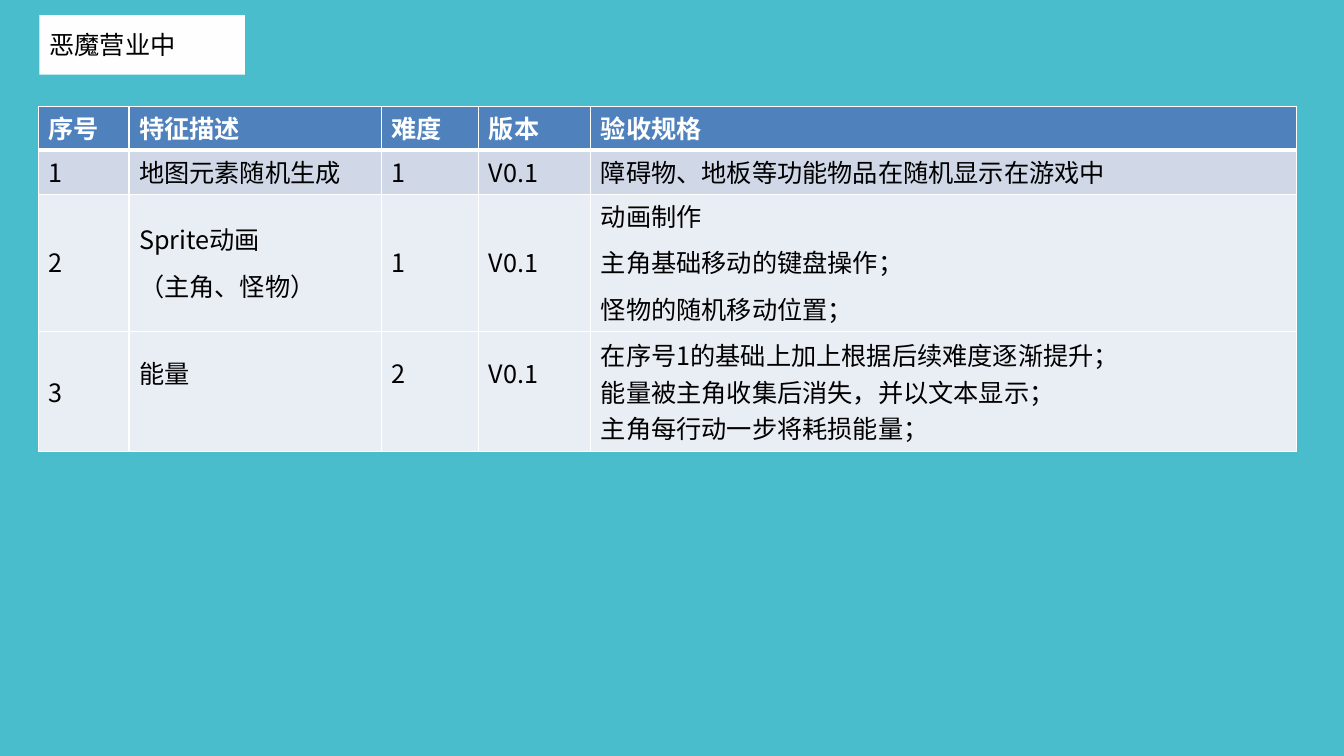
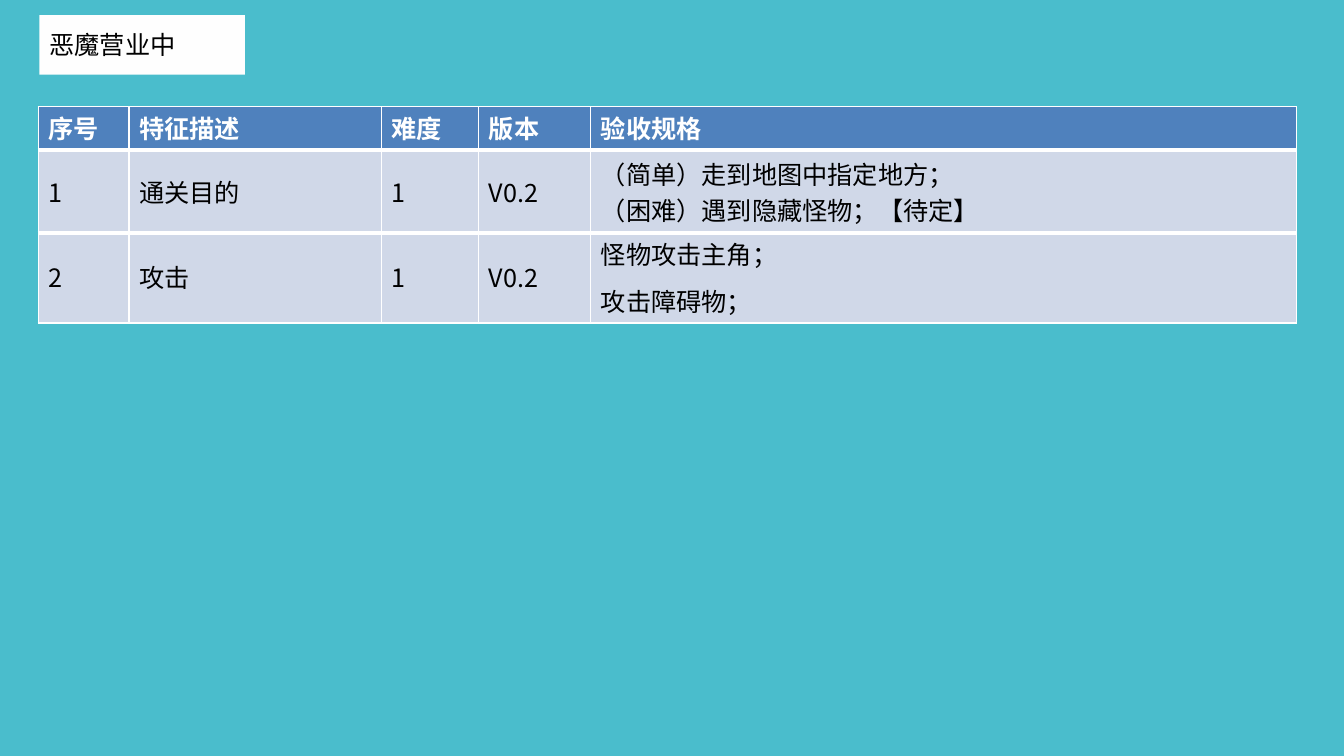
from dataclasses import dataclass
from lxml import etree
from pptx import Presentation
from pptx.dml.color import RGBColor
from pptx.enum.text import MSO_ANCHOR, MSO_AUTO_SIZE, PP_ALIGN
from pptx.oxml.ns import qn
from pptx.util import Inches, Pt

COLORS = {
    "background": "4ABDCC",
    "title_fill": "FEFEFE",
    "text": "000000",
    "header": "4F81BD",
    "header_text": "FFFFFF",
    "dark_row": "D0D8E8",
    "light_row": "E9EDF4",
    "border": "FFFFFF",
}
FONT = "Noto Sans CJK SC"
TITLE = "恶魔营业中"
COLUMN_WIDTHS = [0.9, 2.5, 0.97, 1.11, 7]
THIN, THICK = 1, 3


@dataclass
class Row:
    cells: list
    height: float
    fill: str = "dark_row"
    color: str = "text"
    bold: bool = False
    spaced: bool = True
    top_border: int = THIN
    raised: tuple = ()


HEADER = Row(["序号", "特征描述", "难度", "版本", "验收规格"], 0.43,
             fill="header", color="header_text", bold=True)


class Deck:
    def __init__(self):
        self.prs = Presentation()
        self.prs.slide_width = Inches(13.33)
        self.prs.slide_height = Inches(7.5)
        self.fill(self.prs.slide_master.background, "background")
        self.slide = None

    def fill(self, target, color):
        target.fill.solid()
        target.fill.fore_color.rgb = RGBColor.from_string(COLORS[color])

    def add_slide(self, title):
        self.slide = self.prs.slides.add_slide(self.prs.slide_layouts[5])
        box = self.slide.shapes.title
        box.left, box.top = Inches(0.39), Inches(0.15)
        box.width, box.height = Inches(2.04), Inches(0.59)
        self.fill(box, "title_fill")
        box.text_frame.auto_size = MSO_AUTO_SIZE.NONE
        box.text_frame.vertical_anchor = MSO_ANCHOR.MIDDLE
        self.set_text(box.text_frame, title, "text")

    def set_text(self, frame, text, color, bold=False, spaced=False):
        frame.text = text
        for paragraph in frame.paragraphs:
            paragraph.alignment = PP_ALIGN.LEFT
            if spaced:
                paragraph.line_spacing = 0.9
                paragraph.space_before = Pt(10)
            for run in paragraph.runs:
                font = run.font
                font.name, font.size, font.bold = FONT, Pt(18), bold
                font.color.rgb = RGBColor.from_string(COLORS[color])
                latin = run._r.rPr.find(qn("a:latin"))
                east_asian = etree.Element(qn("a:ea"), typeface=FONT)
                latin.addnext(east_asian)

    def borders(self, cell, top, bottom):
        properties = cell._tc.get_or_add_tcPr()
        for side, width in (("L", THIN), ("R", THIN), ("T", top), ("B", bottom)):
            line = etree.SubElement(properties, qn("a:ln" + side), w=str(int(Pt(width))))
            solid = etree.SubElement(line, qn("a:solidFill"))
            etree.SubElement(solid, qn("a:srgbClr"), val=COLORS["border"])

    def table(self, rows):
        height = sum(row.height for row in rows)
        table = self.slide.shapes.add_table(
            len(rows), len(COLUMN_WIDTHS), Inches(0.38), Inches(1.06),
            Inches(sum(COLUMN_WIDTHS)), Inches(height)).table
        table.first_row = table.horz_banding = False
        for column, width in zip(table.columns, COLUMN_WIDTHS):
            column.width = Inches(width)
        edges = [row.top_border for row in rows] + [THIN]
        for r, row in enumerate(rows):
            table.rows[r].height = Inches(row.height)
            for c, text in enumerate(row.cells):
                cell = table.cell(r, c)
                self.borders(cell, edges[r], edges[r + 1])
                self.fill(cell, row.fill)
                cell.vertical_anchor = MSO_ANCHOR.MIDDLE
                if c in row.raised:
                    cell.margin_bottom = Inches(0.42)
                self.set_text(cell.text_frame, text, row.color, row.bold, row.spaced)


VERSIONS = [
    [
        Row(["1", "地图元素随机生成", "1", "V0.1",
             "障碍物、地板等功能物品在随机显示在游戏中"], 0.44, top_border=THICK),
        Row(["2", "Sprite动画\n（主角、怪物）", "1", "V0.1",
             "动画制作\n主角基础移动的键盘操作；\n怪物的随机移动位置；"],
            1.36, fill="light_row"),
        Row(["3", "能量", "2", "V0.1",
             "在序号1的基础上加上根据后续难度逐渐提升；\n"
             "能量被主角收集后消失，并以文本显示；\n主角每行动一步将耗损能量；"],
            1.18, fill="light_row", spaced=False, raised=(1, 2, 3)),
    ],
    [
        Row(["1", "通关目的", "1", "V0.2",
             "（简单）走到地图中指定地方；\n（困难）遇到隐藏怪物；【待定】"],
            0.82, spaced=False, top_border=THICK),
        Row(["2", "攻击", "1", "V0.2", "怪物攻击主角；\n攻击障碍物；"],
            0.88, top_border=THICK),
    ],
]

deck = Deck()
for features in VERSIONS:
    deck.add_slide(TITLE)
    deck.table([HEADER] + features)
deck.prs.save("out.pptx")
